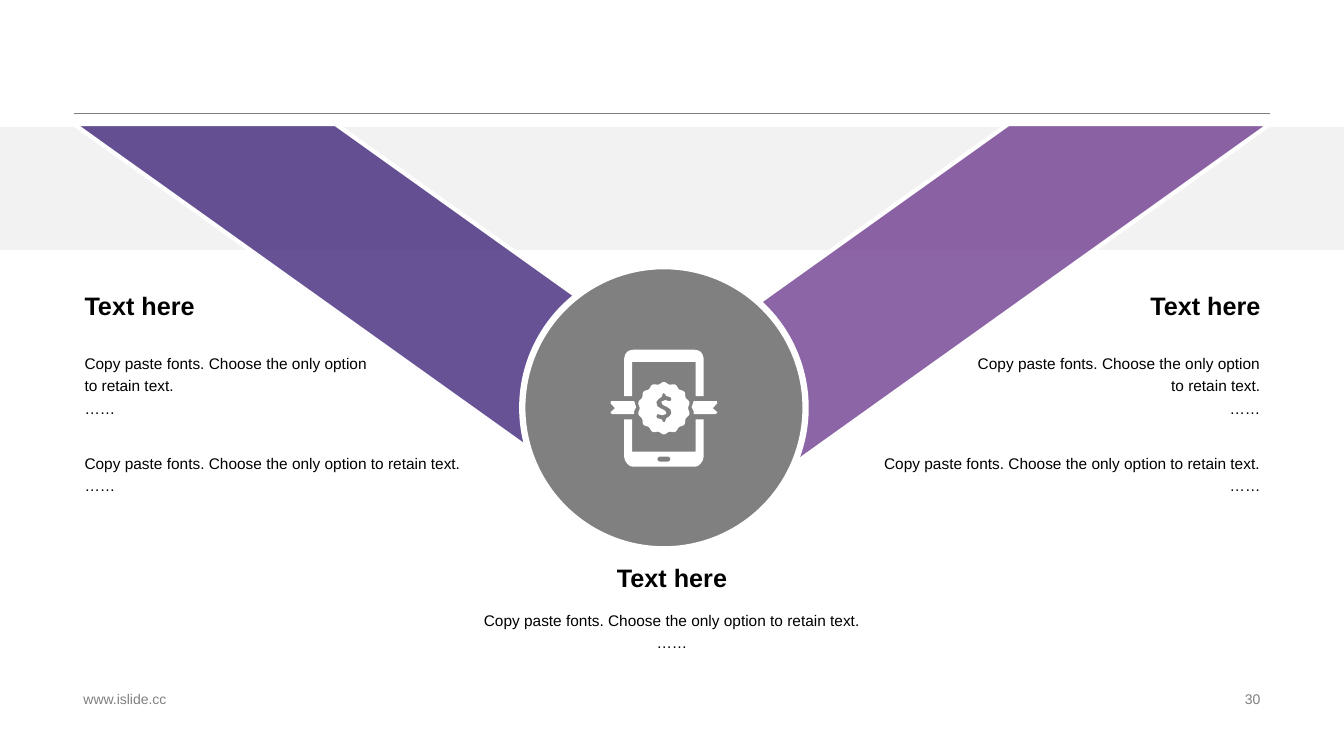
from dataclasses import dataclass
from math import cos, pi, sin

from lxml import etree
from pptx import Presentation
from pptx.dml.color import RGBColor
from pptx.enum.shapes import MSO_CONNECTOR, MSO_SHAPE
from pptx.enum.text import MSO_ANCHOR, PP_ALIGN
from pptx.oxml.ns import qn
from pptx.util import Emu, Pt

LEFT, CENTER, RIGHT = PP_ALIGN.LEFT, PP_ALIGN.CENTER, PP_ALIGN.RIGHT
TOP, MIDDLE = MSO_ANCHOR.TOP, MSO_ANCHOR.MIDDLE
RECTANGLE, OVAL = MSO_SHAPE.RECTANGLE, MSO_SHAPE.OVAL
PARALLELOGRAM = MSO_SHAPE.PARALLELOGRAM
STRAIGHT = MSO_CONNECTOR.STRAIGHT

EMU_PER_PX = 9144  # 100 px to the inch
MARGIN_LEFT, MARGIN_RIGHT = 73, 1260
ICON_AXIS = 658.5
HEADING = "Text here"
BODY = "Copy paste fonts. Choose the only option to retain text.\n……"


@dataclass(frozen=True)
class Theme:
    font: str = "Arial"
    text: str = "000000"
    gray: str = "808080"
    band: str = "F2F2F2"
    white: str = "FFFFFF"
    indigo: str = "42277C"
    purple: str = "703F90"
    heading_size: int = 18
    body_size: int = 11
    footer_size: int = 10


THEME = Theme()


def px(value):
    return Emu(round(value * EMU_PER_PX))


def color(code):
    return RGBColor.from_string(code)


def paint(shape, fill, line_width=0):
    """Fill a shape and give it a white outline, or none at width 0."""
    shape.shadow.inherit = False
    shape.fill.solid()
    shape.fill.fore_color.rgb = color(fill)
    if line_width:
        shape.line.color.rgb = color(THEME.white)
        shape.line.width = Pt(line_width)
    else:
        shape.line.fill.background()


def add_shape(page, kind, left, top, width, height, fill, line_width=0):
    shape = page.shapes.add_shape(kind, px(left), px(top), px(width), px(height))
    paint(shape, fill, line_width)
    return shape


def add_arm(page, left, fill, flipped=False):
    """Add one translucent slanted arm of the V."""
    arm = add_shape(page, PARALLELOGRAM, left, 123, 726, 333, fill, 3)
    arm.adjustments[0] = 1.4
    if flipped:
        arm._element.spPr.find(qn("a:xfrm")).set("flipH", "1")
    tint = arm._element.spPr.find(qn("a:solidFill")).find(qn("a:srgbClr"))
    etree.SubElement(tint, qn("a:alpha")).set("val", "80000")


def add_rule(page, left, right, top):
    rule = page.shapes.add_connector(STRAIGHT, px(left), px(top), px(right), px(top))
    rule.line.color.rgb = color(THEME.gray)
    rule.line.width = Pt(0.25)
    etree.SubElement(rule._element.spPr, qn("a:effectLst"))


def add_text(page, left, top, width, height, text, size, align,
             anchor=TOP, tint=THEME.text, bold=False, spacing=1.0):
    box = page.shapes.add_textbox(px(left), px(top), px(width), px(height))
    frame = box.text_frame
    frame.word_wrap = True
    frame.vertical_anchor = anchor
    frame.text = text
    for para in frame.paragraphs:
        para.alignment = align
        para.line_spacing = spacing
        for span in para.runs:
            span.font.name = THEME.font
            span.font.size = Pt(size)
            span.font.bold = bold
            span.font.color.rgb = color(tint)


def add_heading(page, left, top, width, align):
    add_text(page, left, top, width, 48, HEADING, THEME.heading_size, align,
             MIDDLE, bold=True)


def add_body(page, left, top, width, height, align):
    add_text(page, left, top, width, height, BODY, THEME.body_size, align,
             spacing=1.2)


def add_footer(page, left, width, text, align):
    add_text(page, left, 682, width, 23, text, THEME.footer_size, align,
             MIDDLE, THEME.gray)


def mirror(points):
    """Reflect points across the icon axis, in reverse order."""
    return [(2 * ICON_AXIS - x, y) for x, y in reversed(points)]


def badge_outline():
    """Trace a seal with 14 scallops."""
    angles = [2 * pi * step / 168 for step in range(168)]
    return [(ICON_AXIS + (25 + cos(14 * angle)) * sin(angle),
             405 - (25 + cos(14 * angle)) * cos(angle)) for angle in angles]


def dollar_outline():
    """Trace half of the sign and turn it by 180 degrees for the rest."""
    half = [(658, 390), (657, 391), (657, 392), (656, 394), (653, 396),
            (651, 399), (652, 403), (655, 405), (659, 407), (660, 408),
            (661, 410), (660, 411), (657, 412), (653, 411), (652, 411),
            (651, 413), (652, 415), (656, 416), (657, 417), (657, 418)]
    return half + [(2 * ICON_AXIS - x, 809 - y) for x, y in half]


def add_tablet_icon(page):
    upper_frame = [(627, 359), (627, 393), (619, 393), (619, 356), (620, 352),
                   (622, 349), (625, 347.5), (628, 347)]
    lower_frame = [(627, 448), (627, 416), (619, 416), (619, 453), (620, 457),
                   (622, 460), (625, 462.5), (628, 463)]
    button = [(654, 453), (652.5, 454), (652, 455.5), (652.5, 457), (654, 458)]
    ribbon = [(606, 398), (629, 398), (631, 404), (629, 408), (629, 411),
              (607, 411), (605.5, 409), (610, 405), (605.5, 400)]
    outlines = [half + mirror(half) for half in (upper_frame, lower_frame, button)]
    outlines += [ribbon, mirror(ribbon), badge_outline(), dollar_outline()]

    builder = None
    for outline in outlines:
        start, *rest = [(px(x), px(y)) for x, y in outline]
        if builder is None:
            builder = page.shapes.build_freeform(*start)
        else:
            builder.move_to(*start)
        builder.add_line_segments(rest, close=True)
    paint(builder.convert_to_shape(), THEME.white)


def main():
    deck = Presentation()
    deck.slide_width, deck.slide_height = px(1333), px(750)
    page = deck.slides.add_slide(deck.slide_layouts[6])

    add_rule(page, MARGIN_LEFT, MARGIN_RIGHT, 112)
    add_footer(page, MARGIN_LEFT, 453, "www.islide.cc", LEFT)
    add_footer(page, MARGIN_RIGHT - 318, 318, "30", RIGHT)

    add_shape(page, RECTANGLE, 0, 126, 1333, 122, THEME.band)
    add_arm(page, MARGIN_LEFT, THEME.indigo, flipped=True)
    add_arm(page, MARGIN_RIGHT - 726, THEME.purple)
    add_shape(page, OVAL, 518, 264, 281, 281, THEME.gray, 4.5)
    add_tablet_icon(page)

    add_heading(page, 434, 549, 465, CENTER)
    add_body(page, 434, 598, 465, 57, CENTER)
    for align in (LEFT, RIGHT):
        def start(width):
            return MARGIN_LEFT + 1 if align == LEFT else MARGIN_RIGHT - width

        add_heading(page, start(233), 279, 233, align)
        for top, width in ((343, 310), (442, 395)):
            add_body(page, start(width), top, width, 87, align)

    deck.save("out.pptx")


if __name__ == "__main__":
    main()
